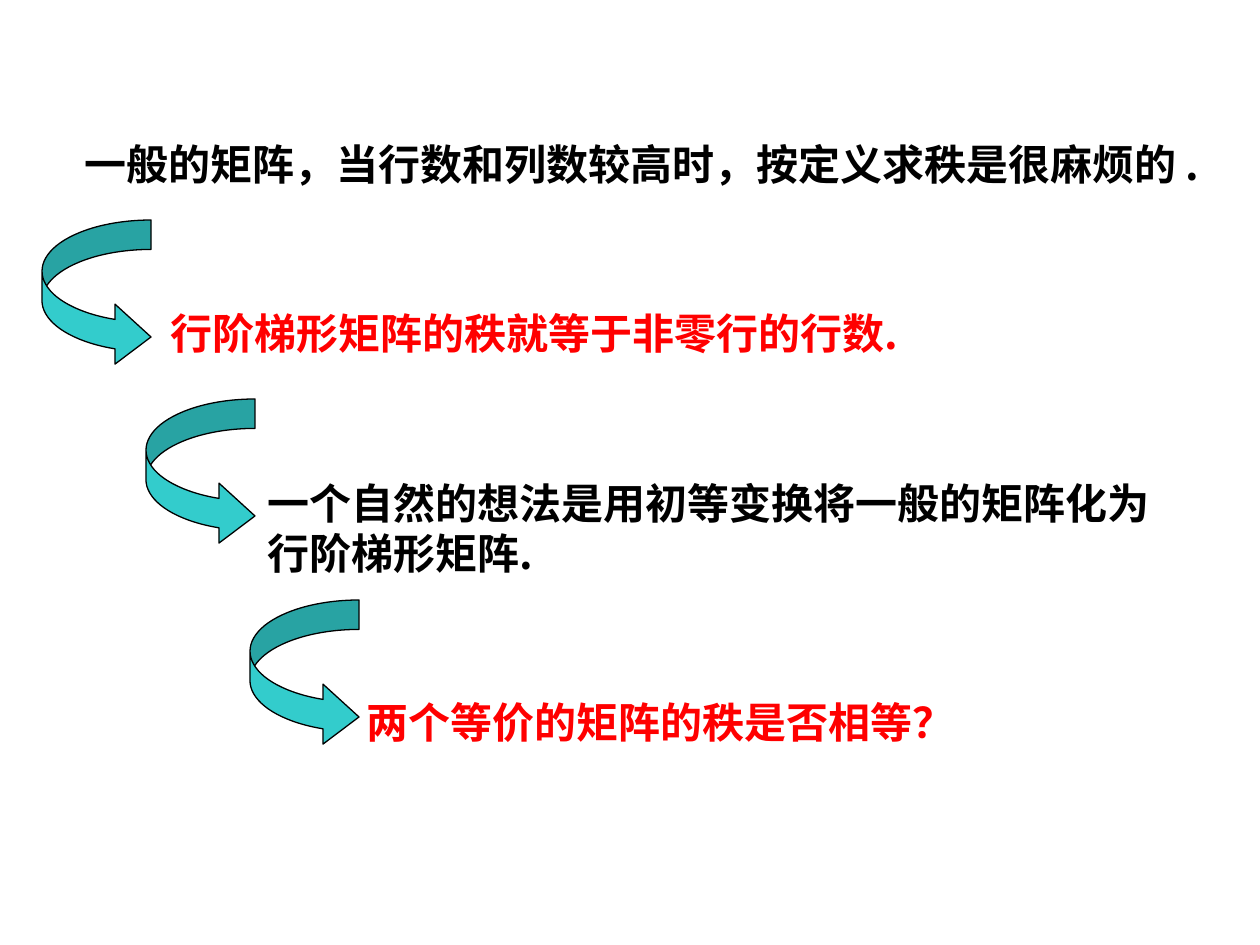
import pptx
import pptx.dml.color
import pptx.enum.lang
import pptx.enum.shapes
import pptx.enum.text
import pptx.oxml
import pptx.oxml.ns
import pptx.util

PX = 914400 / 126
BLACK = pptx.dml.color.RGBColor(0x00, 0x00, 0x00)
RED = pptx.dml.color.RGBColor(0xFF, 0x00, 0x00)
TEAL = pptx.dml.color.RGBColor(0x33, 0xCC, 0xCC)
LATIN_FONT = "Times New Roman"
CHINESE_FONT = "Noto Sans CJK SC"
TOP = pptx.enum.text.MSO_ANCHOR.TOP
MIDDLE = pptx.enum.text.MSO_ANCHOR.MIDDLE


def px(*lengths):
    """Turn pixel lengths into EMU."""
    return [pptx.util.Emu(round(length * PX)) for length in lengths]


def set_chinese_font(properties):
    font = pptx.oxml.parse_xml(
        f'<a:ea {pptx.oxml.ns.nsdecls("a")} typeface="{CHINESE_FONT}"/>')
    properties.append(font)


deck = pptx.Presentation()
deck.slide_width, deck.slide_height = px(1260, 945)
page = deck.slides.add_slide(deck.slide_layouts[6])

# Place, colour, anchor, wrapping, statement and closing full stop
statements = [
    ((72, 132, 1157, 63), BLACK, TOP, False,
     "一般的矩阵，当行数和列数较高时，按定义求秩是很麻烦的 ", "."),
    ((158, 301, 1022, 63), RED, MIDDLE, True,
     "行阶梯形矩阵的秩就等于非零行的行数", "."),
    ((255, 471, 925, 113), BLACK, TOP, True,
     "一个自然的想法是用初等变换将一般的矩阵化为行阶梯形矩阵", "."),
    ((354, 690, 825, 63), RED, TOP, True,
     "两个等价的矩阵的秩是否相等？", ""),
]
for place, color, anchor, wrap, statement, stop in statements:
    box = page.shapes.add_textbox(*px(*place))
    frame = box.text_frame
    frame.word_wrap = wrap
    frame.vertical_anchor = anchor
    para = frame.paragraphs[0]
    para.font.size = pptx.util.Pt(24)
    para.font.bold = True
    para.font.color.rgb = color
    for text, name in ((statement, LATIN_FONT), (stop, CHINESE_FONT)):
        if text:
            span = para.add_run()
            span.text = text
            span.font.name = name
            span.font.language_id = pptx.enum.lang.MSO_LANGUAGE_ID.SIMPLIFIED_CHINESE
            set_chinese_font(span._r.get_or_add_rPr())

# Curved arrows leading from each statement to the next
for left, top in ((42, 220), (146, 399), (250, 600)):
    arrow = page.shapes.add_shape(
        pptx.enum.shapes.MSO_SHAPE.CURVED_RIGHT_ARROW, *px(left, top, 109, 147))
    arrow.shadow.inherit = False
    arrow.adjustments[0] = 0.27
    arrow.adjustments[1] = 0.55
    arrow.adjustments[2] = 0.33
    arrow.fill.solid()
    arrow.fill.fore_color.rgb = TEAL
    arrow.line.color.rgb = BLACK
    arrow.line.width = pptx.util.Pt(0.75)

deck.save("out.pptx")
